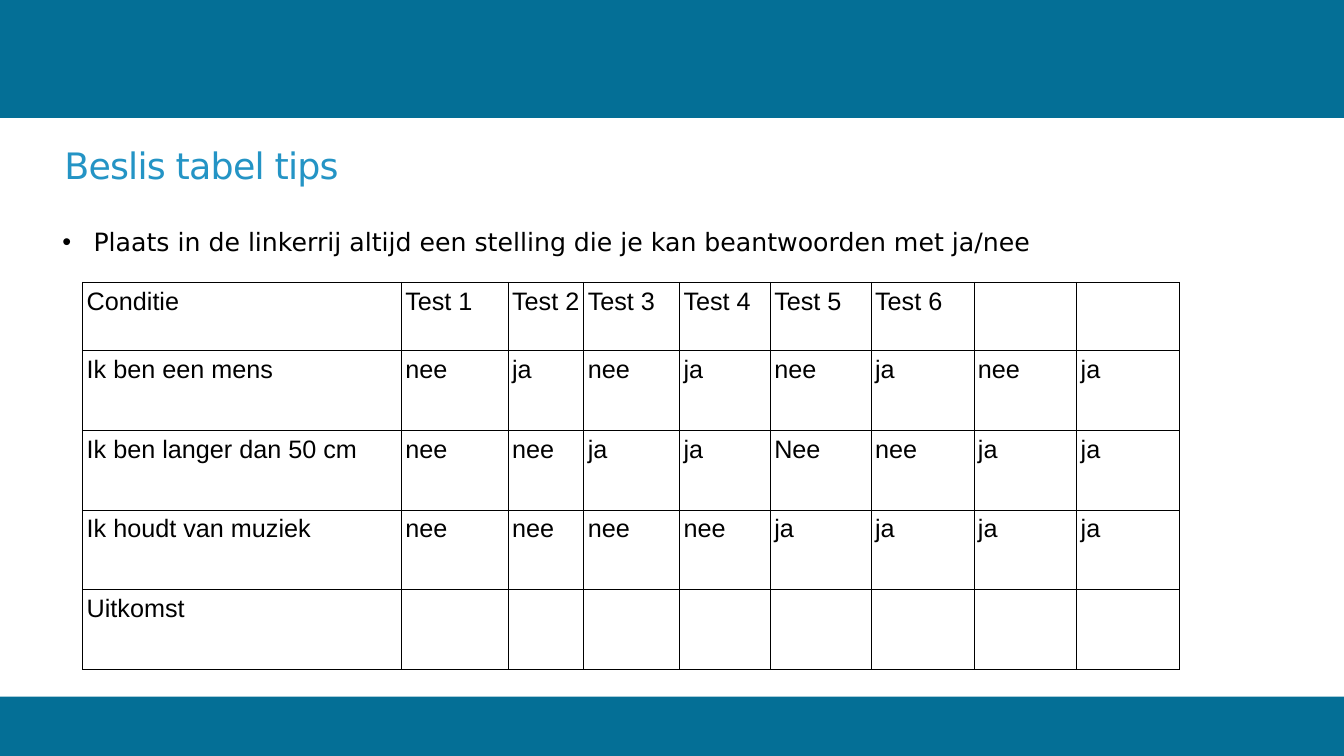
from lxml.etree import SubElement
from pptx import Presentation
from pptx.dml.color import RGBColor
from pptx.enum.shapes import MSO_SHAPE
from pptx.enum.text import MSO_ANCHOR
from pptx.oxml.ns import qn
from pptx.util import Inches, Pt

COLORS = {"band": "046F96", "title": "2494C5", "text": "000000", "border": "000000"}
HEADING_FONT, TABLE_FONT = "DejaVu Sans", "Arial"

TITLE = "Beslis tabel tips"
TIP = "Plaats in de linkerrij altijd een stelling die je kan beantwoorden met ja/nee"
ROWS = [
    ["Conditie", "Test 1", "Test 2", "Test 3", "Test 4", "Test 5", "Test 6", "", ""],
    ["Ik ben een mens", "nee", "ja", "nee", "ja", "nee", "ja", "nee", "ja"],
    ["Ik ben langer dan 50 cm", "nee", "nee", "ja", "ja", "Nee", "nee", "ja", "ja"],
    ["Ik houdt van muziek", "nee", "nee", "nee", "nee", "ja", "ja", "ja", "ja"],
    ["Uitkomst"] + [""] * 8,
]
COL_WIDTHS = [3.16, 1.06, 0.75, 0.95, 0.9, 1, 1.02, 1.02, 1.02]
ROW_HEIGHTS = [0.68] + [0.79] * 4
BANDS = [(0, 1.17), (6.91, 0.59)]  # top, height


def format_run(p, font, size, color):
    for r in p.runs:
        r.font.name = font
        r.font.size = Pt(size)
        r.font.color.rgb = RGBColor.from_string(COLORS[color])


def add_text(slide, box, text, size, color):
    tf = slide.shapes.add_textbox(*map(Inches, box)).text_frame
    tf.word_wrap = True
    p = tf.paragraphs[0]
    p.text = text
    p.line_spacing = 0.9
    format_run(p, HEADING_FONT, size, color)
    return tf


def add_bullet(p, indent):
    pPr = p._p.get_or_add_pPr()
    pPr.set("marL", str(Inches(indent)))
    pPr.set("indent", str(-Inches(indent)))
    clr = SubElement(pPr, qn("a:buClr"))
    SubElement(clr, qn("a:srgbClr"), val=COLORS["text"])
    SubElement(pPr, qn("a:buFont"), typeface="Arial")
    SubElement(pPr, qn("a:buChar"), char="•")


def add_borders(cell):
    tcPr = cell._tc.get_or_add_tcPr()
    for side in ("lnL", "lnR", "lnT", "lnB"):
        ln = SubElement(tcPr, qn(f"a:{side}"), w=str(Pt(0.57)))
        fill = SubElement(ln, qn("a:solidFill"))
        SubElement(fill, qn("a:srgbClr"), val=COLORS["border"])


def add_decision_table(slide):
    size = Inches(sum(COL_WIDTHS)), Inches(sum(ROW_HEIGHTS))
    table = slide.shapes.add_table(
        len(ROWS), len(COL_WIDTHS), Inches(0.82), Inches(2.8), *size).table
    table.first_row = table.horz_banding = False
    for col, width in zip(table.columns, COL_WIDTHS):
        col.width = Inches(width)
    for row, height, texts in zip(table.rows, ROW_HEIGHTS, ROWS):
        row.height = Inches(height)
        for cell, text in zip(row.cells, texts):
            add_borders(cell)
            cell.fill.background()
            cell.margin_left = cell.margin_right = Inches(0.04)
            if text:
                cell.text_frame.text = text
                format_run(cell.text_frame.paragraphs[0], TABLE_FONT, 18, "text")


def main():
    prs = Presentation()
    prs.slide_width, prs.slide_height = Inches(13.33), Inches(7.5)
    slide = prs.slides.add_slide(prs.slide_layouts[6])

    for top, height in BANDS:
        band = slide.shapes.add_shape(
            MSO_SHAPE.RECTANGLE, 0, Inches(top), prs.slide_width, Inches(height))
        band.shadow.inherit = False
        band.fill.solid()
        band.fill.fore_color.rgb = RGBColor.from_string(COLORS["band"])
        band.line.fill.background()

    title = add_text(slide, (0.54, 1.35, 11.44, 0.62), TITLE, 26, "title")
    title.vertical_anchor = MSO_ANCHOR.MIDDLE
    title.paragraphs[0].runs[0].font._element.set("spc", "-60")

    tip = add_text(slide, (0.52, 1.83, 11.46, 4.67), TIP, 18, "text")
    tip.margin_top = Inches(0.45)
    add_bullet(tip.paragraphs[0], 0.31)

    add_decision_table(slide)
    prs.save("out.pptx")


if __name__ == "__main__":
    main()
